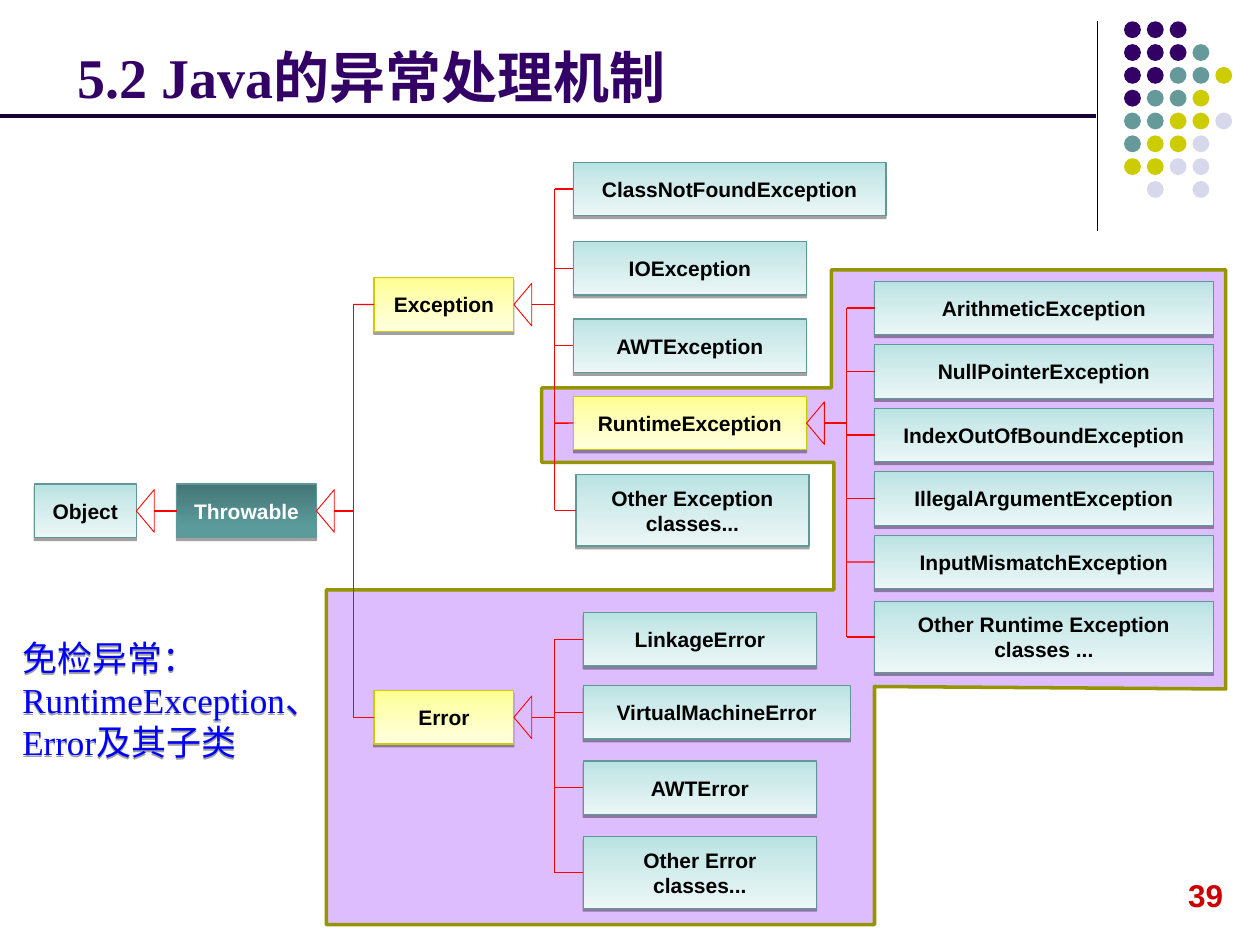
import pptx
import pptx.util
import pptx.dml.color
import pptx.enum.shapes
import pptx.enum.text
import pptx.oxml
import pptx.oxml.ns
from lxml import etree

Cm, Pt = pptx.util.Cm, pptx.util.Pt

COLORS = {
    "purple": "330066", "teal": "669999", "olive": "CCCC00", "lilac": "D8D8EC",
    "black": "000000", "white": "FFFFFF", "red": "FF0000", "number": "CC0000",
    "note": "0000FF", "rule": "190033", "area": "AD5CFF", "area_line": "959500",
    "teal_line": "629797",
}
STYLES = {
    "leaf": ([(0, "B8E2E2"), (35, "CEEAEA"), (100, "ECF7F7")], "teal_line", "black"),
    "branch": ([(0, "FFFF90"), (35, "FFFFB2"), (100, "FFFFE0")], "olive", "black"),
    "root": ([(0, "447676"), (80, "5B9B9B"), (100, "5A9D9D")], "teal_line", "white"),
}
TITLE = "5.2 Java的异常处理机制"
NOTE = ["免检异常：", "RuntimeException、Error及其子类"]
PAGE_NUMBER = "39"

DOT_ROWS = ["PPP", "PPPT", "PPTTY", "PTTY", "TTYYL", "TYYL", "YYLL", " L L"]
DOT_COLORS = {"P": "purple", "T": "teal", "Y": "olive", "L": "lilac"}
DOT_LEFT, DOT_TOP, DOT_PITCH, DOT_SIZE = 22.66, 0.43, 0.46, 0.34

UNCHECKED_AREA = [
    (10.92, 7.82), (16.76, 7.82), (16.76, 5.44), (24.71, 5.44),
    (24.71, 13.89), (17.63, 13.84), (17.63, 18.64), (6.58, 18.64),
    (6.58, 11.89), (16.81, 11.89), (16.81, 9.32), (10.92, 9.32),
]

ONE_LINE, TWO_LINES = 1.08, 1.44
RUNTIME_LEFT, RUNTIME_WIDTH, RUNTIME_TOP, RUNTIME_PITCH = 17.63, 6.83, 6.21, 1.28
RUNTIME_NAMES = [
    "ArithmeticException", "NullPointerException", "IndexOutOfBoundException",
    "IllegalArgumentException", "InputMismatchException",
]
RUNTIME_OTHER = "Other Runtime Exception classes ..."
BOXES = [
    ("Object", "leaf", 0.69, 10.3, 2.06, ONE_LINE),
    ("Throwable", "root", 3.56, 10.3, 2.82, ONE_LINE),
    ("Exception", "branch", 7.54, 6.14, 2.82, ONE_LINE),
    ("Error", "branch", 7.54, 14.46, 2.82, ONE_LINE),
    ("ClassNotFoundException", "leaf", 11.56, 3.81, 6.3, ONE_LINE),
    ("IOException", "leaf", 11.56, 5.41, 4.7, ONE_LINE),
    ("AWTException", "leaf", 11.56, 6.97, 4.7, ONE_LINE),
    ("RuntimeException", "branch", 11.56, 8.53, 4.7, ONE_LINE),
    ("Other Exception classes...", "leaf", 11.61, 10.29, 4.7, TWO_LINES),
    ("LinkageError", "leaf", 11.76, 12.89, 4.7, ONE_LINE),
    ("VirtualMachineError", "leaf", 11.76, 14.36, 5.38, ONE_LINE),
    ("AWTError", "leaf", 11.76, 15.88, 4.7, ONE_LINE),
    ("Other Error classes...", "leaf", 11.76, 17.59, 4.7, TWO_LINES),
    *[(name, "leaf", RUNTIME_LEFT, RUNTIME_TOP + row * RUNTIME_PITCH, RUNTIME_WIDTH, ONE_LINE)
      for row, name in enumerate(RUNTIME_NAMES)],
    (RUNTIME_OTHER, "leaf", RUNTIME_LEFT, 12.84, RUNTIME_WIDTH, TWO_LINES),
]
BRANCHES = [
    ("Throwable", 7.12, ["Exception", "Error"]),
    ("Exception", 11.18, ["ClassNotFoundException", "IOException", "AWTException",
                          "RuntimeException", "Other Exception classes..."]),
    ("Error", 11.18, ["LinkageError", "VirtualMachineError", "AWTError",
                      "Other Error classes..."]),
    ("RuntimeException", 17.07, RUNTIME_NAMES + [RUNTIME_OTHER]),
]
ARROW_DEPTH, ARROW_SPAN = 0.36, 0.86

presentation = pptx.Presentation()
presentation.slide_width, presentation.slide_height = Cm(25.4), Cm(19.05)
slide = presentation.slides.add_slide(presentation.slide_layouts[5])
shapes = slide.shapes
PRESETS = pptx.enum.shapes.MSO_SHAPE
NAMESPACE = pptx.oxml.ns.nsdecls("a")
qn = pptx.oxml.ns.qn


def rgb(name):
    return pptx.dml.color.RGBColor.from_string(COLORS[name])


def set_line(shape, color, width):
    shape.line.color.rgb = rgb(color)
    shape.line.width = Pt(width)


def set_font(paragraph, name, size, color, bold=False):
    font = paragraph.font
    font.name, font.size, font.bold = name, Pt(size), bold
    font.color.rgb = rgb(color)


def add_line(start, end, color="red", width=0.75):
    line = shapes.add_connector(pptx.enum.shapes.MSO_CONNECTOR.STRAIGHT,
                                *[Cm(value) for value in (*start, *end)])
    set_line(line, color, width)
    etree.SubElement(line._element.spPr, qn("a:effectLst"))
    return line


def add_preset(preset, left, top, width, height):
    shape = shapes.add_shape(preset, Cm(left), Cm(top), Cm(width), Cm(height))
    shape.shadow.inherit = False
    return shape


def add_shadow(shape):
    shape.shadow.inherit = False
    shape._element.spPr.find(qn("a:effectLst")).append(pptx.oxml.parse_xml(
        f'<a:outerShdw {NAMESPACE} blurRad="0" dist="20320" dir="5400000" rotWithShape="0">'
        f'<a:srgbClr val="{COLORS["black"]}"><a:alpha val="37000"/></a:srgbClr></a:outerShdw>'))


def add_box(text, style, left, middle, width, height):
    stops, line_color, text_color = STYLES[style]
    box = add_preset(PRESETS.RECTANGLE, left, middle - height / 2, width, height)
    box.fill.background()
    properties = box._element.spPr
    stop_xml = "".join(f'<a:gs pos="{position * 1000}"><a:srgbClr val="{color}"/></a:gs>'
                       for position, color in stops)
    properties.replace(properties.find(qn("a:noFill")), pptx.oxml.parse_xml(
        f'<a:gradFill {NAMESPACE} rotWithShape="1"><a:gsLst>{stop_xml}</a:gsLst>'
        '<a:lin ang="5400000" scaled="0"/></a:gradFill>'))
    set_line(box, line_color, 0.75)
    add_shadow(box)
    box.text_frame.text = text
    box.text_frame.vertical_anchor = pptx.enum.text.MSO_ANCHOR.MIDDLE
    paragraph = box.text_frame.paragraphs[0]
    paragraph.alignment = pptx.enum.text.PP_ALIGN.CENTER
    set_font(paragraph, "Arial", 12, text_color, True)
    return box


def add_inheritance_arrow(parent, end_x):
    left, middle, width = positions[parent]
    tip = left + width
    triangle = add_preset(PRESETS.ISOSCELES_TRIANGLE, tip + (ARROW_DEPTH - ARROW_SPAN) / 2,
                          middle - ARROW_DEPTH / 2, ARROW_SPAN, ARROW_DEPTH)
    triangle.rotation = 270
    triangle.fill.background()
    set_line(triangle, "red", 0.5)
    return add_line((tip + ARROW_DEPTH, middle), (end_x, middle))


add_line((22.12, 0.43), (22.12, 4.65), "black")
for row, pattern in enumerate(DOT_ROWS):
    for column, key in enumerate(pattern):
        if key in DOT_COLORS:
            dot = add_preset(PRESETS.OVAL, DOT_LEFT + column * DOT_PITCH,
                             DOT_TOP + row * DOT_PITCH, DOT_SIZE, DOT_SIZE)
            dot.fill.solid()
            dot.fill.fore_color.rgb = rgb(DOT_COLORS[key])
            dot.line.fill.background()

title = shapes.title
title.left, title.top, title.width, title.height = Cm(1.3), Cm(0.33), Cm(20.96), Cm(2)
title.text_frame.text = TITLE
title.text_frame.auto_size = pptx.enum.text.MSO_AUTO_SIZE.NONE
title.text_frame.vertical_anchor = pptx.enum.text.MSO_ANCHOR.BOTTOM
title.text_frame.paragraphs[0].alignment = pptx.enum.text.PP_ALIGN.LEFT
set_font(title.text_frame.paragraphs[0], "Times New Roman", 32, "purple", True)

corners = [(Cm(x), Cm(y)) for x, y in UNCHECKED_AREA]
builder = shapes.build_freeform(*corners[0])
builder.add_line_segments(corners[1:], close=True)
area = builder.convert_to_shape()
area.shadow.inherit = False
area.fill.solid()
area.fill.fore_color.rgb = rgb("area")
area_color = area._element.spPr.find(qn("a:solidFill")).find(qn("a:srgbClr"))
etree.SubElement(area_color, qn("a:alpha"), val="40000")
set_line(area, "area_line", 2)

boxes = {box[0]: add_box(*box) for box in BOXES}
positions = {text: (left, middle, width) for text, _, left, middle, width, _ in BOXES}

throwable_left, _, _ = positions["Throwable"]
add_inheritance_arrow("Object", throwable_left).end_connect(boxes["Throwable"], 1)
for parent, trunk_x, children in BRANCHES:
    add_inheritance_arrow(parent, trunk_x)
    add_line((trunk_x, positions[children[0]][1]), (trunk_x, positions[children[-1]][1]))
    for child in children:
        left, middle, _ = positions[child]
        add_line((trunk_x, middle), (left, middle)).end_connect(boxes[child], 1)

note = shapes.add_textbox(Cm(0.2), Cm(12.7), Cm(7.32), Cm(2.82))
note.text_frame.word_wrap = True
note.text_frame.text = "\n".join(NOTE)
add_shadow(note)
for paragraph in note.text_frame.paragraphs:
    set_font(paragraph, "Times New Roman", 20, "note")

page_number = shapes.add_textbox(Cm(23.7), Cm(17.53), Cm(1.22), Cm(1.02))
page_number.text_frame.word_wrap = False
page_number.text_frame.text = PAGE_NUMBER
set_font(page_number.text_frame.paragraphs[0], "Arial", 18, "number", True)

add_line((0, 2.34), (22.1, 2.34), "rule", 2.25)
presentation.save("out.pptx")
